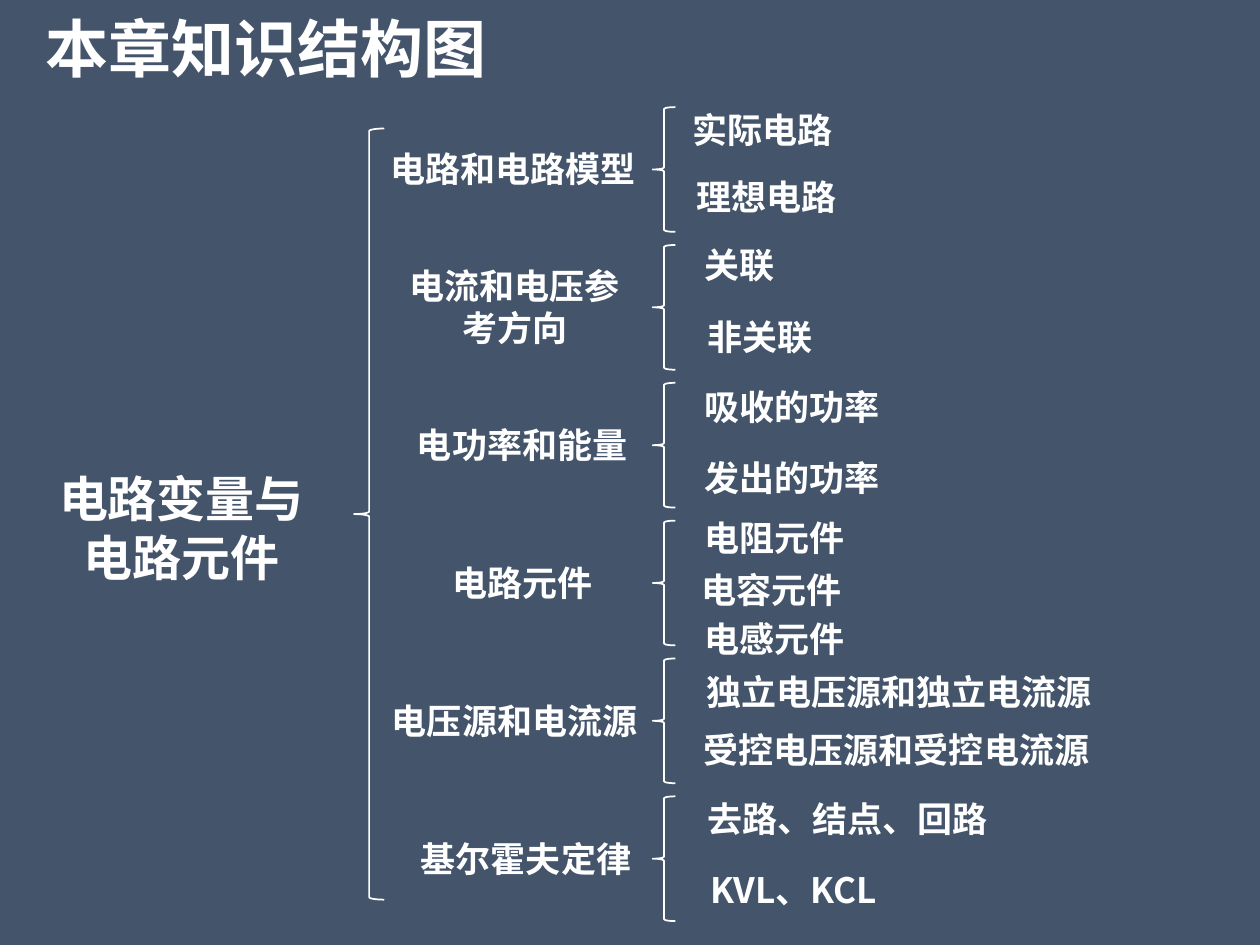
from dataclasses import dataclass

from lxml import etree
from pptx import Presentation
from pptx import util as u
from pptx.dml.color import RGBColor
from pptx.enum import shapes, text
from pptx.oxml.ns import qn


@dataclass(frozen=True)
class Theme:
    back: RGBColor = RGBColor(0x44, 0x54, 0x6A)
    ink: RGBColor = RGBColor(0xFF, 0xFF, 0xFF)
    face: str = "Noto Sans CJK SC"
    head: int = 36
    root: int = 28
    body: int = 20
    line: int = 1


THEME = Theme()
COLS, ROWS = 100, 75
WIDTH, HEIGHT = u.Inches(10), u.Inches(7.5)
TEXT_H, BAND_H = 4.4, 9.9

# Topic: words, left, width, height; leaf: words, left, top, width.
# Left and top count from the corner of the topic's brace.
TOPICS = [
    (("电路和电路模型", -26.3, 30.4, TEXT_H),
     [("实际电路", 1, -0.4, 15.5), ("理想电路", 1.8, 4.9, 14.5)]),
    (("电流和电压参考方向", -21.4, 20.9, 7.7),
     [("关联", 2.9, -0.6, 8), ("非关联", 3.1, 5.1, 10.8)]),
    (("电功率和能量", -23.7, 26.7, TEXT_H),
     [("吸收的功率", 2.8, -0.3, 16.5), ("发出的功率", 2.7, 5.4, 16.7)]),
    (("电路元件", -23.7, 26.7, TEXT_H),
     [("电阻元件", 3.1, -0.8, 13.1), ("电容元件", 2.9, 3.3, 13.1),
      ("电感元件", 2.8, 7.2, 13.7)]),
    (("电压源和电流源", -25.8, 29.7, TEXT_H),
     [("独立电压源和独立电流源", 2.7, 0.5, 33.7),
      ("受控电压源和受控电流源", 2.1, 5.1, 34.5)]),
    (("基尔霍夫定律", -24.9, 29.7, TEXT_H),
     [("去路、结点、回路", -7.8, -0.4, 46.5), ("KVL、KCL", 2.3, 5.2, 17.8)]),
]


def grid(x, y, w, h):
    """Turn columns and rows into slide lengths."""
    return (int(WIDTH * x / COLS), int(HEIGHT * y / ROWS),
            int(WIDTH * w / COLS), int(HEIGHT * h / ROWS))


def style(shape, words, size, anchor=text.MSO_ANCHOR.TOP):
    frame = shape.text_frame
    frame.text = words
    looks = {"word_wrap": True, "auto_size": text.MSO_AUTO_SIZE.NONE,
             "vertical_anchor": anchor}
    for name, value in looks.items():
        setattr(frame, name, value)
    para = frame.paragraphs[0]
    para.alignment = text.PP_ALIGN.CENTER
    para.space_before = u.Pt(0)
    run = para.runs[0]
    for name, value in {"size": u.Pt(size), "bold": True,
                        "name": THEME.face}.items():
        setattr(run.font, name, value)
    run.font.color.rgb = THEME.ink
    east = etree.SubElement(run.font._element, qn("a:ea"))
    east.set("typeface", THEME.face)


def label(slide, box, words, size=THEME.body):
    style(slide.shapes.add_textbox(*grid(*box)), words, size)


def brace(slide, box):
    shape = slide.shapes.add_shape(shapes.MSO_SHAPE.LEFT_BRACE, *grid(*box))
    shape.shadow.inherit = False
    shape.fill.background()
    shape.line.color.rgb = THEME.ink
    shape.line.width = u.Pt(THEME.line)


def title(slide, box, words):
    shape = slide.shapes.title
    for name, value in zip(("left", "top", "width", "height"), grid(*box)):
        setattr(shape, name, value)
    style(shape, words, THEME.head, text.MSO_ANCHOR.MIDDLE)


def root(slide, box, words):
    x, y, w, h = box
    label(slide, (x, y + 26.5, 22.6, 10.4), words, THEME.root)
    brace(slide, (x + w - 2.4, y, 2.4, h))


def branch(slide, box, topic, leaves):
    """Draw a brace in the box, its topic to the left, its leaves to the right."""
    x, y, w, h = box
    words, left, wide, high = topic
    label(slide, (x + left, y + (h - high) / 2, wide, high), words)
    brace(slide, box)
    for words, left, top, wide in leaves:
        label(slide, (x + left, y + top, wide, TEXT_H), words)


def main():
    deck = Presentation()
    deck.slide_width, deck.slide_height = WIDTH, HEIGHT
    slide = deck.slides.add_slide(deck.slide_layouts.get_by_name("Title Only"))
    slide.background.fill.solid()
    slide.background.fill.fore_color.rgb = THEME.back

    title(slide, (0, 0.2, 42.2, 7.1), "本章知识结构图")
    root(slide, (3.1, 10.2, 27.4, 61.2), "电路变量与电路元件")
    top, step = 8.5, 10.94
    for i, (topic, leaves) in enumerate(TOPICS):
        branch(slide, (51.8, top + i * step, 1.8, BAND_H), topic, leaves)
    deck.save("out.pptx")


if __name__ == "__main__":
    main()
